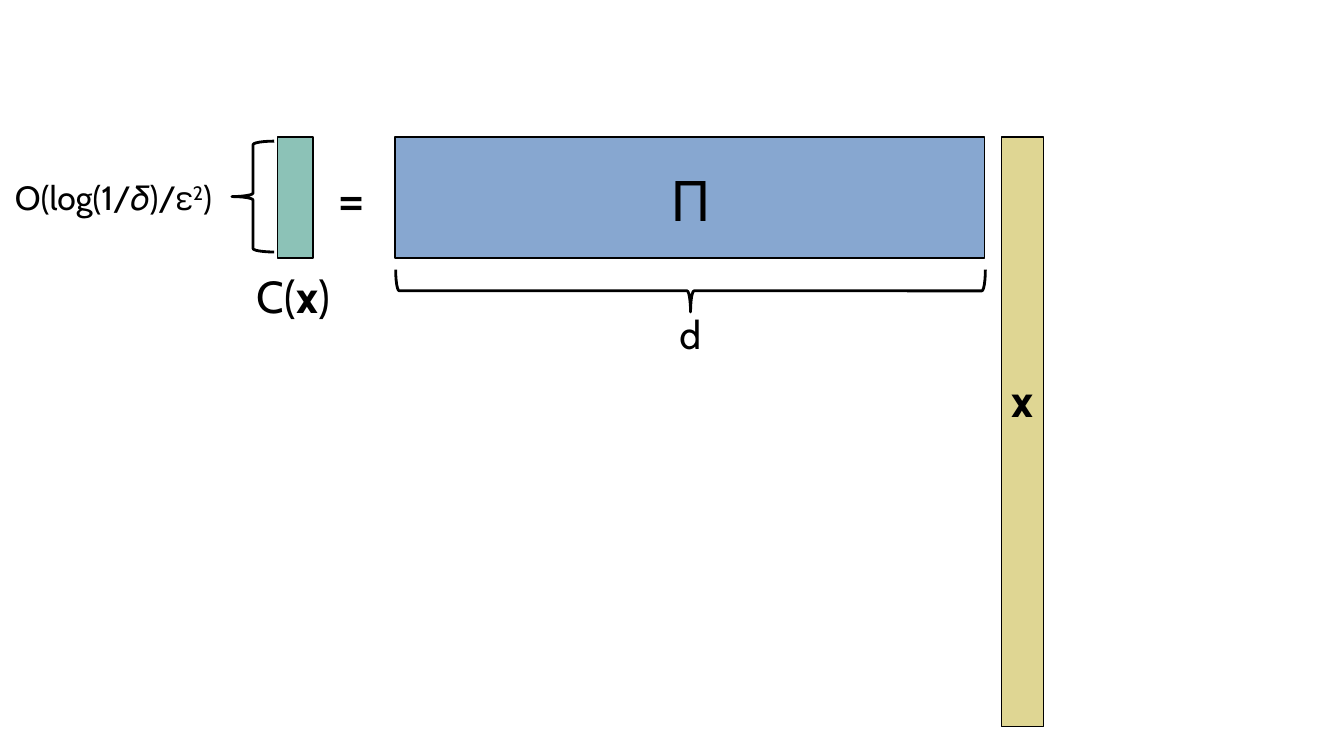
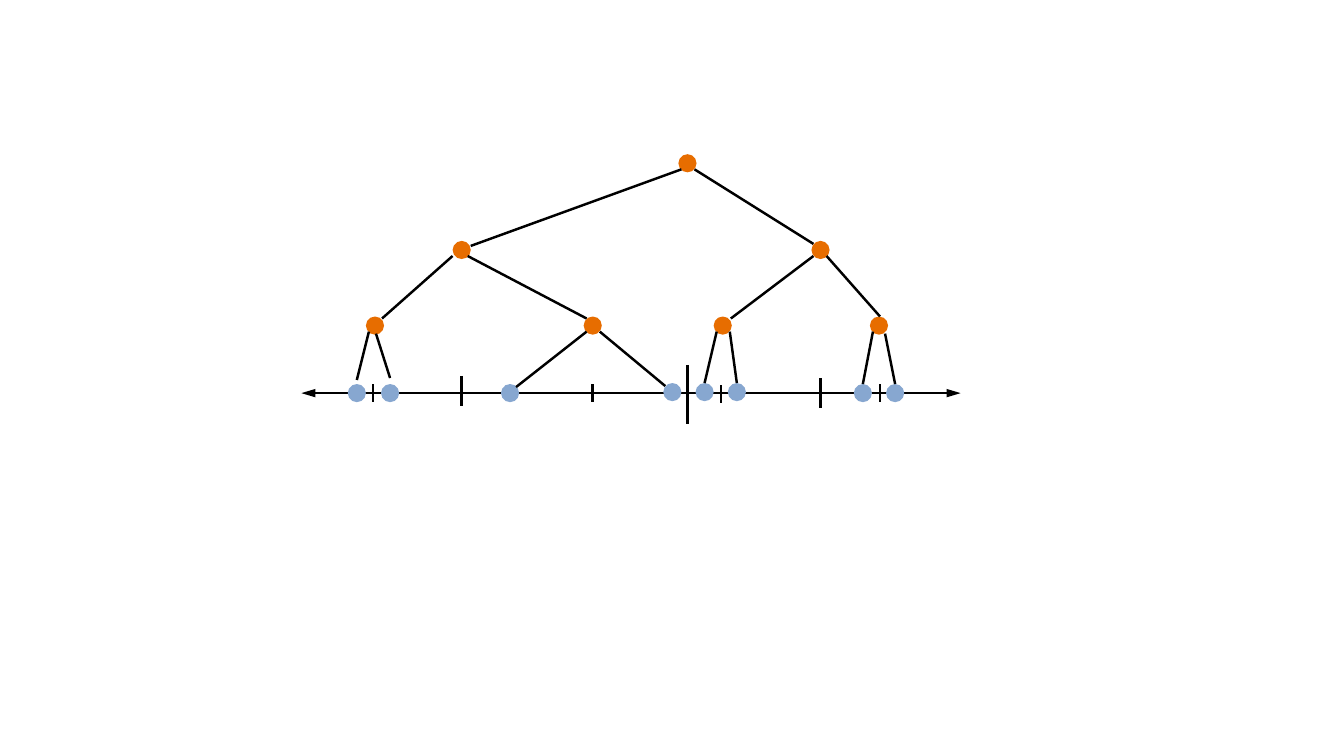
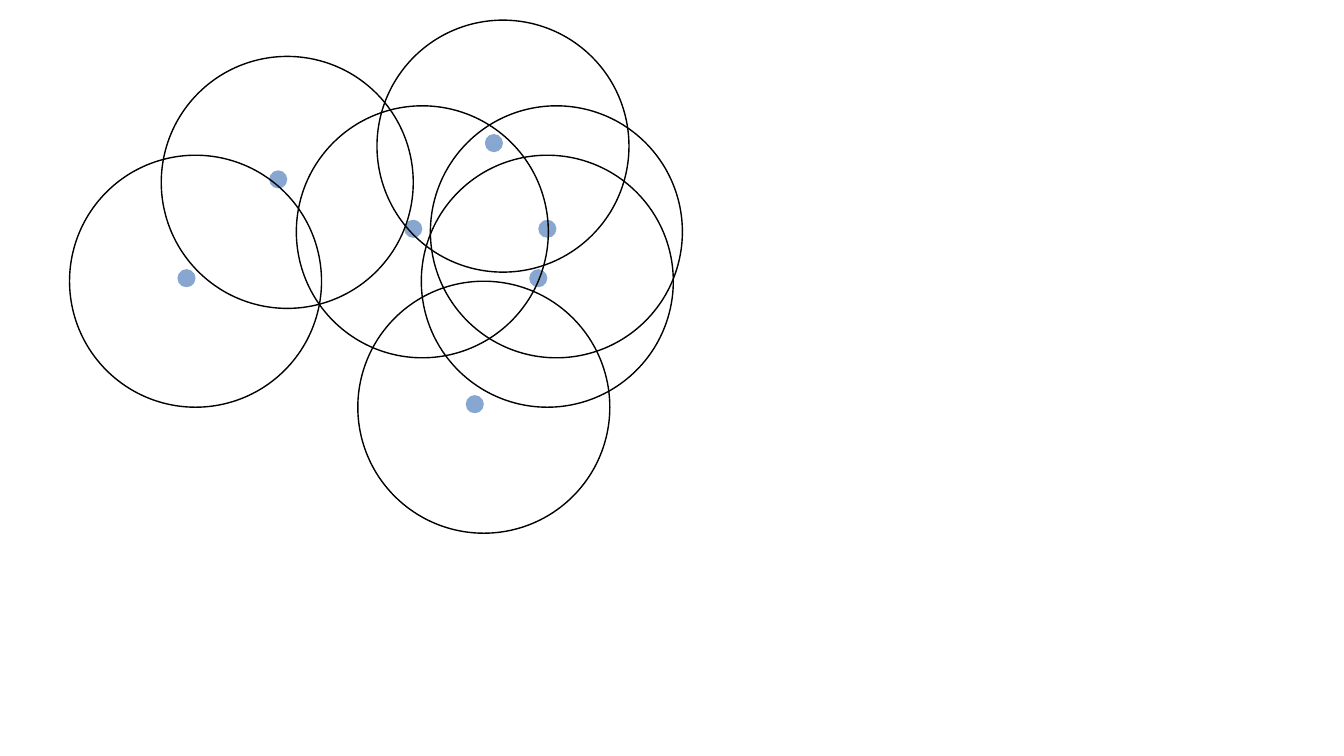
from lxml import etree
from pptx import Presentation
from pptx import util as u
from pptx.dml.color import RGBColor
from pptx.enum import shapes, text
from pptx.oxml import ns

CELL = 0.1
BLACK, BLUE, TEAL, SAND, ORANGE = "000000", "87A7D0", "8CC2B7", "DFD693", "E76D00"
SHAPE = shapes.MSO_SHAPE


def rgb(value):
    return RGBColor.from_string(value)


def grid(*cells):
    return [u.Inches(n * CELL) for n in cells]


class Deck:
    """Draws diagram elements in one style on a grid of tenths of an inch."""

    font = {"name": "Cabin", "bold": False}
    dot_size = 1.8

    def __init__(self):
        self.prs = Presentation()
        self.prs.slide_width, self.prs.slide_height = grid(133.33, 75)

    def new_slide(self):
        self.s = self.prs.slides.add_slide(self.prs.slide_layouts[6])

    def shape(self, kind, x, y, w, h, fill=None, line=None, rotation=0):
        sp = self.s.shapes.add_shape(kind, *grid(x, y, w, h))
        sp.shadow.inherit = False
        sp.rotation = rotation
        if fill:
            sp.fill.solid()
            sp.fill.fore_color.rgb = rgb(fill)
        else:
            sp.fill.background()
        if line:
            sp.line.color.rgb = rgb(BLACK)
            sp.line.width = u.Pt(line)
        else:
            sp.line.fill.background()

    def block(self, x, y, w, h, fill):
        self.shape(SHAPE.RECTANGLE, x, y, w, h, fill, 1)

    def brace(self, x, y, w, h, rotation):
        self.shape(SHAPE.RIGHT_BRACE, x, y, w, h, line=2, rotation=rotation)

    def dot(self, cx, cy, fill=BLUE):
        d = self.dot_size
        self.shape(SHAPE.OVAL, cx - d / 2, cy - d / 2, d, d, fill)

    def ring(self, cx, cy, d):
        self.shape(SHAPE.OVAL, cx - d / 2, cy - d / 2, d, d, line=1)

    def label(self, x, y, w, h, size, *runs):
        sp = self.s.shapes.add_textbox(*grid(x, y, w, h))
        tf = sp.text_frame
        tf.word_wrap = True
        tf.auto_size = text.MSO_AUTO_SIZE.SHAPE_TO_FIT_TEXT
        p = tf.paragraphs[0]
        for content, extra in runs:
            r = p.add_run()
            r.text = content
            r.font.color.rgb = rgb(BLACK)
            formats = {**self.font, "size": u.Pt(size), **extra}
            raised = formats.pop("raised", None)
            for key, value in formats.items():
                setattr(r.font, key, value)
            if raised:
                r.font._element.set("baseline", str(raised * 1000))

    def line(self, x1, y1, x2, y2, arrows=False):
        c = self.s.shapes.add_connector(shapes.MSO_CONNECTOR.STRAIGHT, *grid(x1, y1, x2, y2))
        c.line.color.rgb = rgb(BLACK)
        c.line.width = u.Pt(1.75)
        if arrows:
            for tag in ("a:headEnd", "a:tailEnd"):
                end = etree.SubElement(c.line._get_or_add_ln(), ns.qn(tag))
                for key, value in {"type": "triangle", "w": "med", "len": "lg"}.items():
                    end.set(key, value)
        etree.SubElement(c._element.spPr, ns.qn("a:effectLst"))


def sketch_slide(deck):
    deck.new_slide()
    top, height = 13.6, 12
    deck.block(39.2, top, 58.5, height, BLUE)
    deck.block(99.35, top, 4.2, 58.5, SAND)
    deck.block(27.55, top, 3.5, height, TEAL)
    deck.brace(66.4, -0.4, 4.2, 58.5, 90)
    deck.brace(23, 14, 4.2, 11, 180)
    bold = {"bold": True}
    deck.label(65.5, 15.9, 4.9, 7.7, 40, ("Π", {}))
    deck.label(99.4, 36.5, 7, 6.4, 32, ("x", bold))
    deck.label(24.5, 26.2, 10.5, 6.4, 32, ("C(", {}), ("x", bold), (")", {}))
    deck.label(32.5, 15.7, 4.9, 7.7, 40, ("=", {}))
    deck.label(66.4, 30.3, 4.9, 5.7, 28, ("d", {}))
    deck.label(0.5, 17.1, 23.1, 5, 24, ("O(log(1/𝛿)/ε", {}), ("2", {"raised": 30}), (")", {}))


def tree_slide(deck):
    deck.new_slide()
    axis = 39
    deck.line(95.3, axis, 29.9, axis, arrows=True)
    for x, y in ((35.4, 39), (38.7, 39), (50.6, 39), (66.7, 38.9),
                 (69.9, 38.9), (73.1, 38.9), (85.6, 39), (88.8, 39)):
        deck.dot(x, y)
    for x, middle, length in ((68.2, 39.15, 5.9), (45.8, 38.8, 3), (81.4, 39, 3),
                              (58.8, axis, 1.8), (37, axis, 1.8),
                              (71.5, 39.1, 1.8), (87.3, axis, 1.8)):
        deck.line(x, middle - length / 2, x, middle + length / 2)
    levels = {16.2: (68.2,), 24.8: (45.8, 81.4), 32.3: (37.2, 58.8, 71.7, 87.2)}
    for y, columns in levels.items():
        for x in columns:
            deck.dot(x, y, ORANGE)
    root_edges = ((67.6, 16.8, 46.7, 24.4), (68.9, 16.8, 80.7, 24.2))
    inner_edges = ((44.9, 25.4, 37.9, 31.6), (46.4, 25.4, 58.2, 31.6),
                   (80.7, 25.4, 72.5, 31.6), (82, 25.4, 87.3, 31.4))
    leaf_edges = ((36.6, 32.9, 35.4, 37.7), (37.3, 33.1, 38.7, 37.5),
                  (58.2, 32.9, 51.2, 38.4), (59.5, 32.9, 66, 38.3),
                  (71.1, 32.9, 69.9, 38), (72.4, 32.9, 73.1, 38),
                  (86.6, 32.9, 85.6, 38.1), (87.8, 33.1, 88.8, 38.1))
    for edge in root_edges + inner_edges + leaf_edges:
        deck.line(*edge)


def balls_slide(deck):
    deck.new_slide()
    points = ((18.5, 27.6), (27.6, 17.8), (41, 22.7), (49, 14.2),
              (54.3, 22.7), (53.4, 27.6), (47.1, 40.1))
    for x, y in points:
        deck.dot(x, y)
    for x, y in points:
        deck.ring(x + 0.9, y + 0.3, 25)


def main():
    deck = Deck()
    for build in (sketch_slide, tree_slide, balls_slide):
        build(deck)
    deck.prs.save("out.pptx")


if __name__ == "__main__":
    main()
